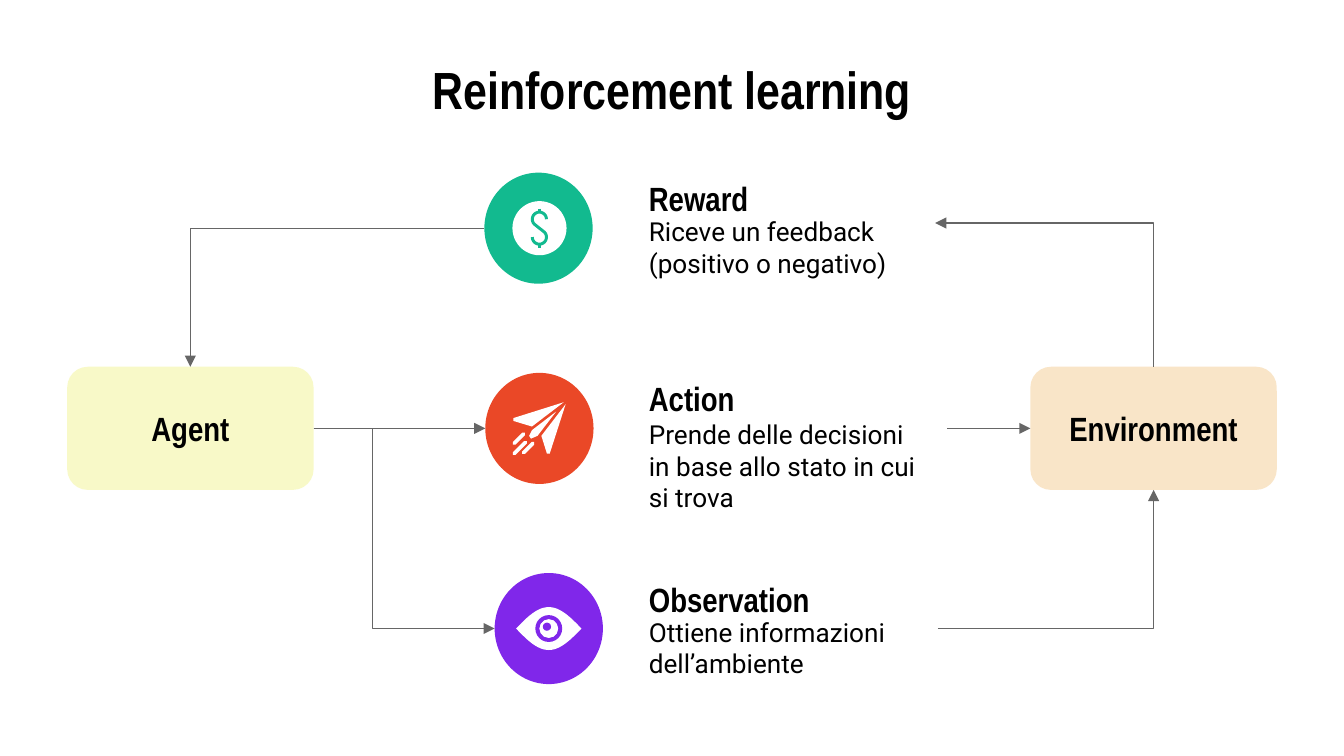
import math

import lxml.etree
import pptx
import pptx.dml.color
import pptx.enum.shapes
import pptx.enum.text
import pptx.oxml.ns
import pptx.util

Pt = pptx.util.Pt
qn = pptx.oxml.ns.qn
RGBColor = pptx.dml.color.RGBColor
SHAPE = pptx.enum.shapes.MSO_SHAPE
CONNECTOR = pptx.enum.shapes.MSO_CONNECTOR
ALIGN = pptx.enum.text.PP_ALIGN

BLACK = RGBColor(0x00, 0x00, 0x00)
WHITE = RGBColor(0xFF, 0xFF, 0xFF)
GRAY = RGBColor(0x66, 0x66, 0x66)
YELLOW = RGBColor(0xE4, 0xEA, 0x27)
ORANGE = RGBColor(0xE9, 0x9B, 0x27)
GREEN = RGBColor(0x12, 0xBA, 0x8F)
RED = RGBColor(0xEA, 0x48, 0x27)
PURPLE = RGBColor(0x80, 0x27, 0xEA)

HEADING_FONT = "Arial Narrow"
BODY_FONT = "Roboto"


def write(box, text, size=18, font=HEADING_FONT, bold=True, align=ALIGN.LEFT):
    frame = box.text_frame
    frame.word_wrap = True
    frame.vertical_anchor = pptx.enum.text.MSO_ANCHOR.MIDDLE
    frame.margin_left = frame.margin_right = Pt(7.2)
    frame.margin_top = frame.margin_bottom = Pt(7.2)
    para = frame.paragraphs[0]
    para.alignment = align
    span = para.add_run()
    span.text = text
    span.font.size = Pt(size)
    span.font.name = font
    span.font.bold = bold
    span.font.color.rgb = BLACK


def draw_outline(contours, closed=True):
    """Add a freeform from lists of (x, y) in points."""
    pens = [[(Pt(x), Pt(y)) for x, y in contour] for contour in contours]
    builder = page.shapes.build_freeform(*pens[0][0], scale=1.0)
    builder.add_line_segments(pens[0][1:], close=closed)
    for pen in pens[1:]:
        builder.move_to(*pen[0])
        builder.add_line_segments(pen[1:], close=closed)
    return builder.convert_to_shape()


deck = pptx.Presentation()
deck.slide_width, deck.slide_height = Pt(720), Pt(405)
page = deck.slides.add_slide(deck.slide_layouts[6])

title = page.shapes.add_textbox(Pt(36), Pt(32.5), Pt(648), Pt(29.5))
write(title, "Reinforcement learning", size=28, align=ALIGN.CENTER)

# Agent and environment
actors = []
for name, left, color in [("Agent", 36, YELLOW), ("Environment", 552, ORANGE)]:
    actor = page.shapes.add_shape(
        SHAPE.ROUNDED_RECTANGLE, Pt(left), Pt(196.5), Pt(132), Pt(66))
    actor.fill.solid()
    actor.fill.fore_color.rgb = color
    tint = actor.fill._xPr.find(qn("a:solidFill"))[0]
    lxml.etree.SubElement(tint, qn("a:alpha"), val="25000")
    actor.line.fill.background()
    write(actor, name, align=ALIGN.CENTER)
    actors.append(actor)
agent, environment = actors

# Signals: one row each, with a circle, a label and a caption
rows = [122.25 + 107.25 * index for index in range(3)]
signals = [
    ("Reward", "Riceve un feedback (positivo o negativo)", 259.5, GREEN, -3),
    ("Action", "Prende delle decisioni in base allo stato in cui si trova",
     260, RED, 7),
    ("Observation", "Ottiene informazioni dell’ambiente", 265, PURPLE, -3),
]
circles = []
for middle, (label, caption, left, color, drop) in zip(rows, signals):
    circle = page.shapes.add_shape(
        SHAPE.OVAL, Pt(left), Pt(middle - 29.75), Pt(58), Pt(59.5))
    circle.fill.solid()
    circle.fill.fore_color.rgb = color
    circle.line.fill.background()
    circles.append(circle)
    box = page.shapes.add_textbox(Pt(340.5), Pt(middle - 29), Pt(162), Pt(26))
    write(box, label)
    box = page.shapes.add_textbox(Pt(340.5), Pt(middle + drop), Pt(162), Pt(26))
    write(box, caption, size=14, font=BODY_FONT, bold=False)
reward, action, observation = circles

# White parts of the icons: eye and paper plane
span_steps = [step / 12 for step in range(-12, 13)]
upper_lid = [(294 + 17.5 * t, rows[2] - 11.5 * math.cos(math.pi / 2 * t))
             for t in span_steps]
lower_lid = [(x, 2 * rows[2] - y) for x, y in reversed(upper_lid)]
left_wing = [(302, 215.5), (275, 224), (275, 225.5), (285, 228.5)]
fold = [(298, 220.5), (285, 230.5), (283.5, 233.5), (284.5, 235), (288, 233.5)]
right_wing = [(303, 216.5), (290, 233.5), (293, 243), (294.5, 243)]
for contour in [upper_lid + lower_lid, left_wing, fold, right_wing]:
    part = draw_outline([contour])
    part.fill.solid()
    part.fill.fore_color.rgb = WHITE
    part.line.fill.background()

# Coin and the rings of the eye
for x, y, radius, color in [
    (289, rows[0], 14.5, WHITE),
    (294, rows[2], 7.2, PURPLE),
    (294, rows[2], 5, WHITE),
    (294, rows[2], 4.9, WHITE),
    (293, rows[2] - 1, 2.2, PURPLE),
]:
    disc = page.shapes.add_shape(
        SHAPE.OVAL, Pt(x - radius), Pt(y - radius), Pt(2 * radius), Pt(2 * radius))
    disc.fill.solid()
    disc.fill.fore_color.rgb = color
    disc.line.fill.background()

# Dollar sign: the lower half is the upper half turned by 180 degrees
bowl = [(3.8 * math.cos(math.radians(angle)),
         -4.8 - 3.8 * math.sin(math.radians(angle)))
        for angle in range(0, 226, 15)]
curve = bowl + [(-x, -y) for x, y in reversed(bowl)]
strokes = [curve, [(0, -10.5), (0, -8.6)], [(0, 8.6), (0, 10.5)]]
dollar = draw_outline(
    [[(289 + x, rows[0] + y) for x, y in stroke] for stroke in strokes],
    closed=False)
dollar.fill.background()
dollar.line.color.rgb = GREEN
dollar.line.width = Pt(1.6)

# Trails of the paper plane
for x, y, length in [(280.5, 232.5, 5), (285.5, 237.5, 5), (281.5, 237, 6)]:
    trail = page.shapes.add_connector(
        CONNECTOR.STRAIGHT, Pt(x), Pt(y), Pt(x - length), Pt(y + length))
    trail.line.color.rgb = WHITE
    trail.line.width = Pt(2)
    trail._element.spPr.find(qn("a:ln")).set("cap", "rnd")

# Arrows; connection site 2 of a circle is its left side
for kind, preset, start, end, source, target, arrow in [
    (CONNECTOR.STRAIGHT, "line", (168, rows[1]), (260, rows[1]),
     (agent, 3), (action, 2), "tailEnd"),
    (CONNECTOR.ELBOW, "bentConnector3", (168, rows[1]), (265, rows[2]),
     (agent, 3), (observation, 2), "tailEnd"),
    (CONNECTOR.STRAIGHT, "line", (507.5, rows[1]), (552, rows[1]),
     None, (environment, 1), "tailEnd"),
    (CONNECTOR.ELBOW, "bentConnector2", (502.5, rows[2]), (618, 262.5),
     None, (environment, 2), "tailEnd"),
    (CONNECTOR.ELBOW, "bentConnector2", (501, 119.5), (618, 196.5),
     None, (environment, 0), "headEnd"),
    (CONNECTOR.ELBOW, "bentConnector2", (259.5, rows[0]), (102, 196.5),
     (reward, 2), (agent, 0), "tailEnd"),
]:
    places = [Pt(value) for value in start + end]
    link = page.shapes.add_connector(kind, *places)
    if source:
        link.begin_connect(*source)
    link.end_connect(*target)
    link.begin_x, link.begin_y, link.end_x, link.end_y = places
    link.line.color.rgb = GRAY
    link.line.width = Pt(0.75)
    geometry = link._element.spPr.find(qn("a:prstGeom"))
    geometry.set("prst", preset)
    if preset == "bentConnector3":
        lxml.etree.SubElement(
            geometry.find(qn("a:avLst")), qn("a:gd"), name="adj1", fmla="val 32500")
    lxml.etree.SubElement(
        link._element.spPr.find(qn("a:ln")), qn(f"a:{arrow}"), type="triangle")

for shape in page.shapes:
    if shape.shape_type == pptx.enum.shapes.MSO_SHAPE_TYPE.LINE:
        lxml.etree.SubElement(shape._element.spPr, qn("a:effectLst"))
    else:
        shape.shadow.inherit = False

deck.save("out.pptx")
